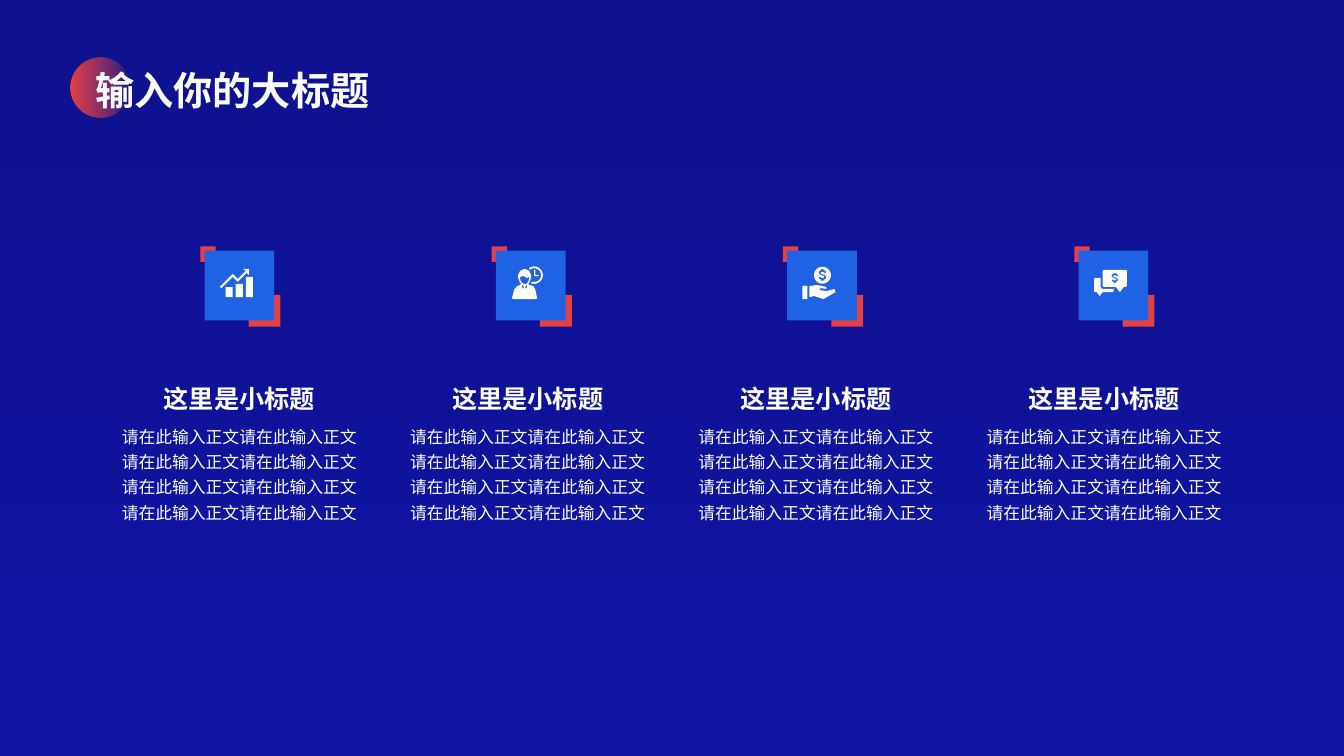
from math import cos, radians, sin

from lxml.etree import SubElement
from pptx import Presentation
from pptx.dml.color import RGBColor
from pptx.enum.shapes import MSO_SHAPE
from pptx.enum.text import MSO_ANCHOR, MSO_AUTO_SIZE, PP_ALIGN
from pptx.oxml.ns import qn
from pptx.util import Pt

FONT = "Noto Sans CJK SC"
WHITE, RED, BLUE = "FFFFFF", "E34146", "1F62E4"
TILE_LEFT, TILE_TOP, TILE_SIZE, TILE_STEP = 146.1, 179.1, 49.8, 208.1
TEXT_LEFT, TEXT_STEP = 65.5, 205.9
ICON_UNIT = 0.72  # points per icon grid unit


def color(value):
    return RGBColor.from_string(value)


# Outlines for the icons, in grid units from the corner of the tile
def arc(x, y, radius, start, end, steps=36):
    angles = [radians(start + (end - start) * i / steps) for i in range(steps + 1)]
    return [(x + radius * cos(a), y + radius * sin(a)) for a in angles]


def block(left, top, right, bottom):
    return [(left, top), (right, top), (right, bottom), (left, bottom)]


def dollar(x, y, scale):
    half = [(-1, -6), (1, -6), (1, -5), (3, -4), (4, -2), (2, -2), (1, -3),
            (-1, -3), (-2, -2), (-1, -1), (2, 0), (4, 2), (3, 4), (1, 5)]
    sign = half + [(-a, -b) for a, b in half]
    return [(x + a * scale, y + b * scale) for a, b in sign]


def growth_icon():
    arrow = [(33, 31), (28, 26), (17, 37), (15, 36), (28, 23), (33, 28),
             (41, 20), (38, 18), (44, 18), (44, 24), (42, 22)]
    return [arrow, block(21, 36, 28, 46), block(31, 33, 38, 46), block(41, 26, 48, 46)]


def manager_icon():
    body = [(28, 18), (29, 18), (33, 20), (35, 24), (35, 27), (34, 29), (33, 32),
            (32, 33), (33, 34), (37, 35), (39, 38), (41, 47), (40, 48), (17, 48),
            (16, 47), (18, 39), (21, 35), (24, 34), (25, 33), (24, 32), (23, 29),
            (22, 27), (22, 24), (24, 20)]
    face = [(24, 26), (27, 25), (29, 26), (31, 27), (33, 26), (33, 28), (32, 31),
            (30, 33), (28, 33), (25, 31), (24, 28)]
    lapel = [(30, 34), (31, 34), (31, 36), (30, 38), (29, 36), (30, 35)]
    other_lapel = [(57 - x, y) for x, y in lapel]
    ring = arc(38, 24.2, 8.6, -128, 111) + arc(38, 24.2, 6.8, 111, -128)
    hands = [(38, 19), (39.3, 19), (39.3, 24), (42.5, 24), (42.5, 25.3), (38, 25.3)]
    return [body, face, lapel, other_lapel, ring, hands]


def payment_icon():
    palm = [(30, 34), (39, 36), (39, 38), (33, 37), (32, 39), (39, 40), (47, 38),
            (48, 41), (36, 48), (27, 45), (22, 46), (22, 35)]
    return [block(15, 35, 20, 48), palm, arc(35, 24.3, 8.4, 0, 350), dollar(35, 24, 1)]


def talk_icon():
    back = [(16, 27), (22, 27), (22, 36), (24, 38), (35, 38), (35, 40), (34, 41),
            (24, 41), (21, 45), (18, 41), (16, 41), (15.5, 40), (15.5, 28)]
    front = [(25, 19), (47, 19), (48, 20), (48, 35), (47, 36), (45, 36), (41, 41),
             (37, 36), (25, 36), (24, 35), (24, 20)]
    return [back, front, dollar(36, 27, 0.85)]


# Elements
def finish(shape, fill):
    shape.shadow.inherit = False
    shape.line.fill.background()
    shape.fill.solid()
    shape.fill.fore_color.rgb = color(fill)


def add_square(page, left, top, size, fill):
    square = page.shapes.add_shape(
        MSO_SHAPE.RECTANGLE, Pt(left), Pt(top), Pt(size), Pt(size))
    finish(square, fill)


def add_icon(page, left, top, outlines):
    def grid(outline):
        return [(x * ICON_UNIT * 100, y * ICON_UNIT * 100) for x, y in outline]

    first, *others = map(grid, outlines)
    builder = page.shapes.build_freeform(*first[0], scale=Pt(0.01))
    builder.add_line_segments(first[1:], close=True)
    for outline in others:
        builder.move_to(*outline[0])
        builder.add_line_segments(outline[1:], close=True)
    finish(builder.convert_to_shape(Pt(left), Pt(top)), WHITE)


def add_fading_circle(page, left, top, size):
    circle = page.shapes.add_shape(
        MSO_SHAPE.OVAL, Pt(left), Pt(top), Pt(size), Pt(size))
    finish(circle, RED)
    circle.fill.gradient()
    circle.fill.gradient_angle = 0
    stops = circle._element.spPr.find(qn("a:gradFill")).find(qn("a:gsLst"))
    for stop in list(stops):
        stops.remove(stop)
    for position, opacity in ((0, 100), (73, 40), (100, 0)):
        stop = SubElement(stops, qn("a:gs"), pos=str(position * 1000))
        tint = SubElement(stop, qn("a:srgbClr"), val=RED)
        SubElement(tint, qn("a:alpha"), val=str(opacity * 1000))


def add_text_box(page, left, top, width, height):
    box = page.shapes.add_textbox(Pt(left), Pt(top), Pt(width), Pt(height))
    frame = box.text_frame
    frame.word_wrap = True
    frame.auto_size = MSO_AUTO_SIZE.SHAPE_TO_FIT_TEXT
    frame.vertical_anchor = MSO_ANCHOR.MIDDLE
    return frame


def write(para, text, size, bold, align=PP_ALIGN.CENTER):
    para.text = text
    para.alignment = align
    font = para.font
    font.size, font.bold = Pt(size), bold
    font.color.rgb = color(WHITE)
    font.name = FONT
    SubElement(para._p.pPr.find(qn("a:defRPr")), qn("a:ea"), typeface=FONT)


def add_column_text(page, left):
    frame = add_text_box(page, left, 270, 211, 106.6)
    heading = frame.paragraphs[0]
    write(heading, "这里是小标题", 18, True)
    heading.space_after = Pt(6)
    for _ in range(4):
        para = frame.add_paragraph()
        write(para, "请在此输入正文请在此输入正文", 12, False)
        para.line_spacing = 1.25


def main():
    deck = Presentation()
    deck.slide_width, deck.slide_height = Pt(960), Pt(540)
    page = deck.slides.add_slide(deck.slide_layouts[6])

    # Background
    backdrop = page.background.fill
    backdrop.gradient()
    backdrop.gradient_angle = 270
    for stop, shade in zip(backdrop.gradient_stops, ("0E128F", "1013A2")):
        stop.color.rgb = color(shade)

    # Title
    add_fading_circle(page, 50, 41, 43)
    title = add_text_box(page, 61, 43.9, 294.5, 41.2)
    write(title.paragraphs[0], "输入你的大标题", 28, True, PP_ALIGN.LEFT)

    # Four columns: tile with red corners, icon, text
    icons = (growth_icon, manager_icon, payment_icon, talk_icon)
    for number, icon in enumerate(icons):
        left = TILE_LEFT + number * TILE_STEP
        add_square(page, left - 3, TILE_TOP - 3, 11, RED)
        add_square(page, left + 31.5, TILE_TOP + 31.5, 22.8, RED)
        add_square(page, left, TILE_TOP, TILE_SIZE, BLUE)
        add_icon(page, left, TILE_TOP, icon())
        add_column_text(page, TEXT_LEFT + number * TEXT_STEP)

    deck.save("out.pptx")


if __name__ == "__main__":
    main()
